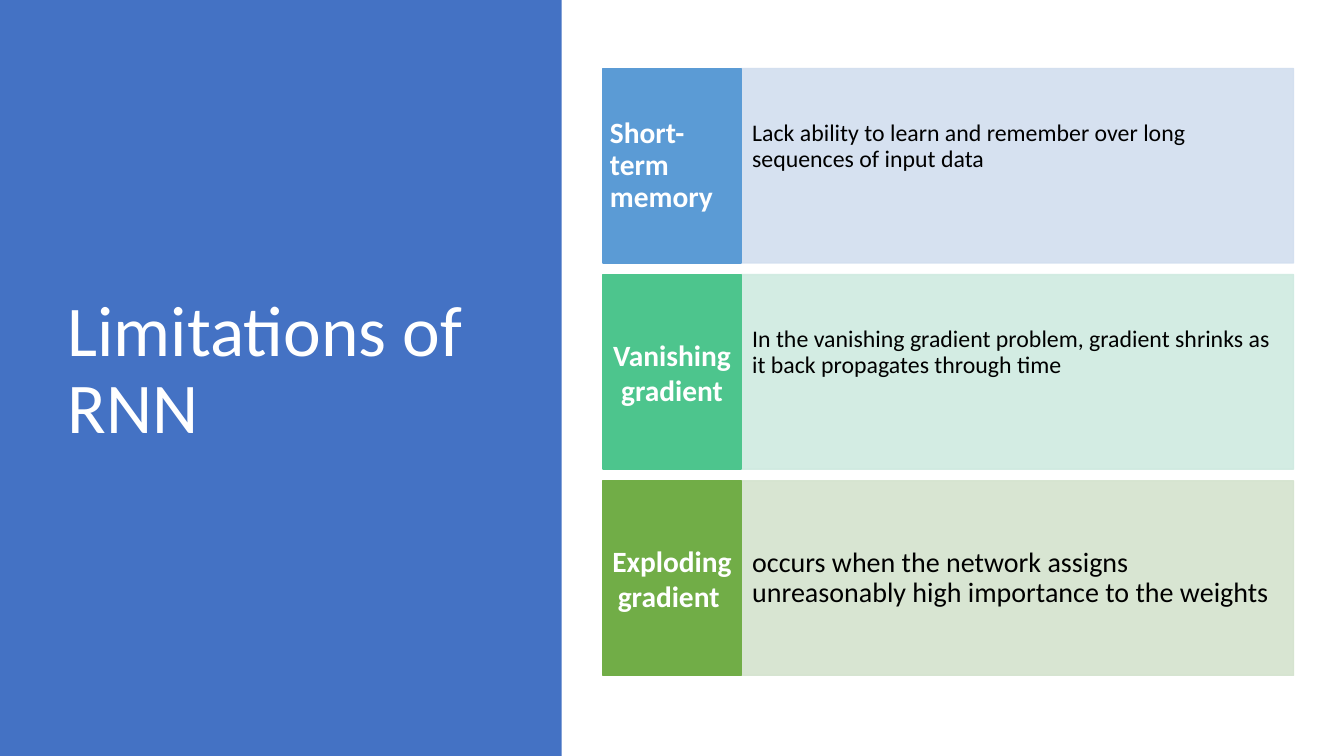
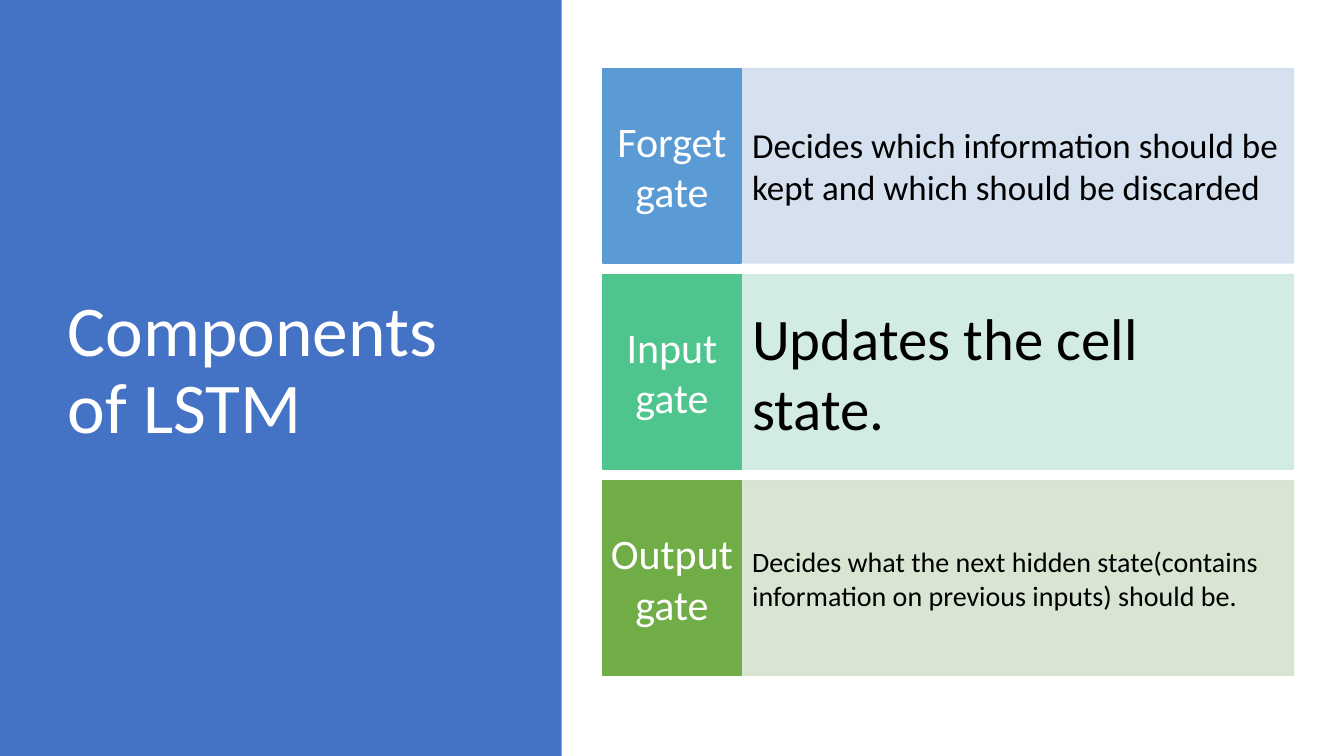
import dataclasses

import pptx
import pptx.dml.color
import pptx.enum.shapes
import pptx.enum.text
import pptx.oxml
import pptx.oxml.ns
import pptx.util

Inches = pptx.util.Inches
Pt = pptx.util.Pt
ALIGN = pptx.enum.text.PP_ALIGN
ANCHOR = pptx.enum.text.MSO_ANCHOR


@dataclasses.dataclass(frozen=True)
class Theme:
    font: str = "Calibri"
    panel: str = "4472C4"
    light: str = "FFFFFF"
    dark: str = "000000"
    labels: tuple = ("5B9BD5", "4DC58D", "71AD47")
    details: tuple = ("D2DEEF", "CFEAE0", "D4E3CE")
    detail_alpha: int = 90
    title_size: int = 51
    tight: float = 0.9


@dataclasses.dataclass(frozen=True)
class Text:
    words: str
    size: int
    bold: bool = False
    align: ALIGN = ALIGN.LEFT
    spacing: float = 1.0
    lift: float = 0


THEME = Theme()
SLIDE_W, SLIDE_H = 13.33, 7.5
PANEL_W = 5.57
TOP, CONTENT_H = 0.68, 6.02
LABEL_X, LABEL_W = 5.98, 1.37
DETAIL_W, ROW_H = 5.48, 1.93
LABEL_INSETS = (0.07, 0.19)
DETAIL_INSETS = (0.11, 0.49)


def rgb(color):
    return pptx.dml.color.RGBColor.from_string(color)


def set_all(target, values):
    for name, value in values.items():
        setattr(target, name, value)


def place(sp, x, y, w, h):
    set_all(sp, dict(left=Inches(x), top=Inches(y), width=Inches(w), height=Inches(h)))


def write(sp, text, color):
    tf = sp.text_frame
    set_all(tf, dict(word_wrap=True, vertical_anchor=ANCHOR.MIDDLE,
                     auto_size=pptx.enum.text.MSO_AUTO_SIZE.NONE))
    p = tf.paragraphs[0]
    set_all(p, dict(alignment=text.align, line_spacing=text.spacing))
    r = p.add_run()
    r.text = text.words
    set_all(r.font, dict(name=THEME.font, size=Pt(text.size), bold=text.bold))
    r.font.color.rgb = rgb(color)


def set_alpha(sp, percent):
    for color in sp._element.spPr.iter(pptx.oxml.ns.qn("a:srgbClr")):
        alpha = pptx.oxml.parse_xml(
            f'<a:alpha {pptx.oxml.ns.nsdecls("a")} val="{percent * 1000}"/>')
        color.append(alpha)


def add_box(slide, x, y, w, h, fill):
    sp = slide.shapes.add_shape(pptx.enum.shapes.MSO_SHAPE.RECTANGLE,
                                Inches(x), Inches(y), Inches(w), Inches(h))
    sp.shadow.inherit = False
    sp.fill.solid()
    sp.fill.fore_color.rgb = rgb(fill)
    sp.line.fill.background()
    return sp


def add_text_box(slide, x, y, w, fill, text, color, insets):
    sp = add_box(slide, x, y, w, ROW_H, fill)
    sp.line.color.rgb = rgb(fill)
    sp.line.width = Pt(1)
    side, end = insets
    set_all(sp.text_frame, dict(margin_left=Inches(side), margin_right=Inches(side),
                                margin_top=Inches(end),
                                margin_bottom=Inches(end + text.lift)))
    write(sp, text, color)
    return sp


def add_row(slide, index, label, detail, count):
    gap = (CONTENT_H - count * ROW_H) / (count - 1)
    y = TOP + index * (ROW_H + gap)
    sp = add_text_box(slide, LABEL_X + LABEL_W, y, DETAIL_W, THEME.details[index],
                      detail, THEME.dark, DETAIL_INSETS)
    set_alpha(sp, THEME.detail_alpha)
    add_text_box(slide, LABEL_X, y, LABEL_W, THEME.labels[index],
                 label, THEME.light, LABEL_INSETS)


def add_rows_slide(prs, layout, title, rows):
    slide = prs.slides.add_slide(layout)
    panel = add_box(slide, 0, 0, PANEL_W, SLIDE_H, THEME.panel)
    slide.shapes.title._element.addprevious(panel._element)
    write(slide.shapes.title, Text(title, THEME.title_size, spacing=THEME.tight),
          THEME.light)
    for index, (label, detail) in enumerate(rows):
        add_row(slide, index, label, detail, len(rows))


def limit_label(words, **style):
    return Text(words, 21, bold=True, **style)


def limit_detail(words, size=17, lift=0.38):
    return Text(words, size, spacing=THEME.tight, lift=lift)


def gate_label(words):
    return Text(words, 30, align=ALIGN.CENTER)


def main():
    prs = pptx.Presentation()
    set_all(prs, dict(slide_width=Inches(SLIDE_W), slide_height=Inches(SLIDE_H)))
    layout = prs.slide_layouts.get_by_name("Title Only")
    place(layout.placeholders[0], 0.57, TOP, 4.16, CONTENT_H)

    add_rows_slide(prs, layout, "Limitations of RNN", [
        (limit_label("Short-term memory", spacing=THEME.tight),
         limit_detail("Lack ability to learn and remember over long sequences of input data")),
        (limit_label("Vanishing gradient", align=ALIGN.CENTER),
         limit_detail("In the vanishing gradient problem, gradient shrinks as it back "
                      "propagates through time")),
        (limit_label("Exploding gradient ", align=ALIGN.CENTER),
         limit_detail("occurs when the network assigns unreasonably high importance "
                      "to the weights", size=20, lift=0)),
    ])
    add_rows_slide(prs, layout, "Components of LSTM", [
        (gate_label("Forget gate"),
         Text("Decides which information should be kept and which should be discarded", 25)),
        (gate_label("Input gate"), Text("Updates the cell state.", 42)),
        (gate_label("Output gate"),
         Text("Decides what the next hidden state(contains information on previous "
              "inputs) should be.", 20)),
    ])
    prs.save("out.pptx")


if __name__ == "__main__":
    main()
